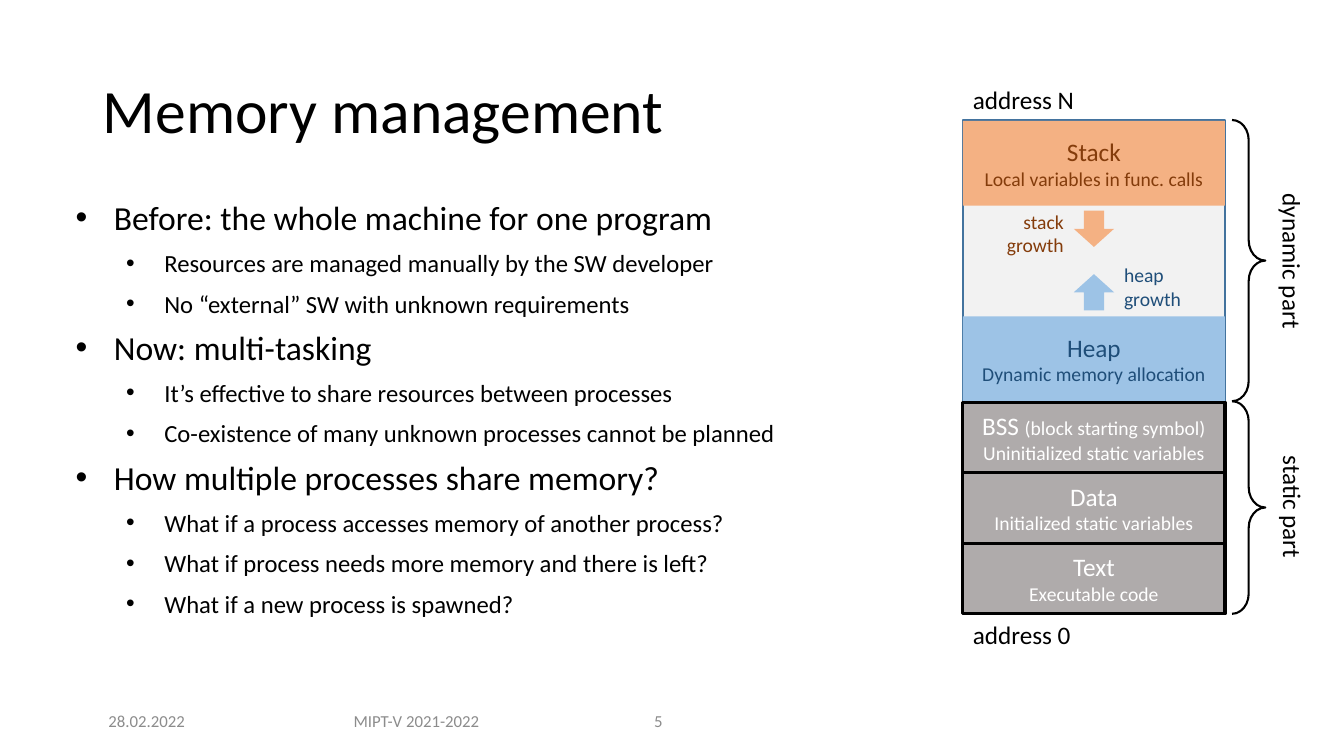
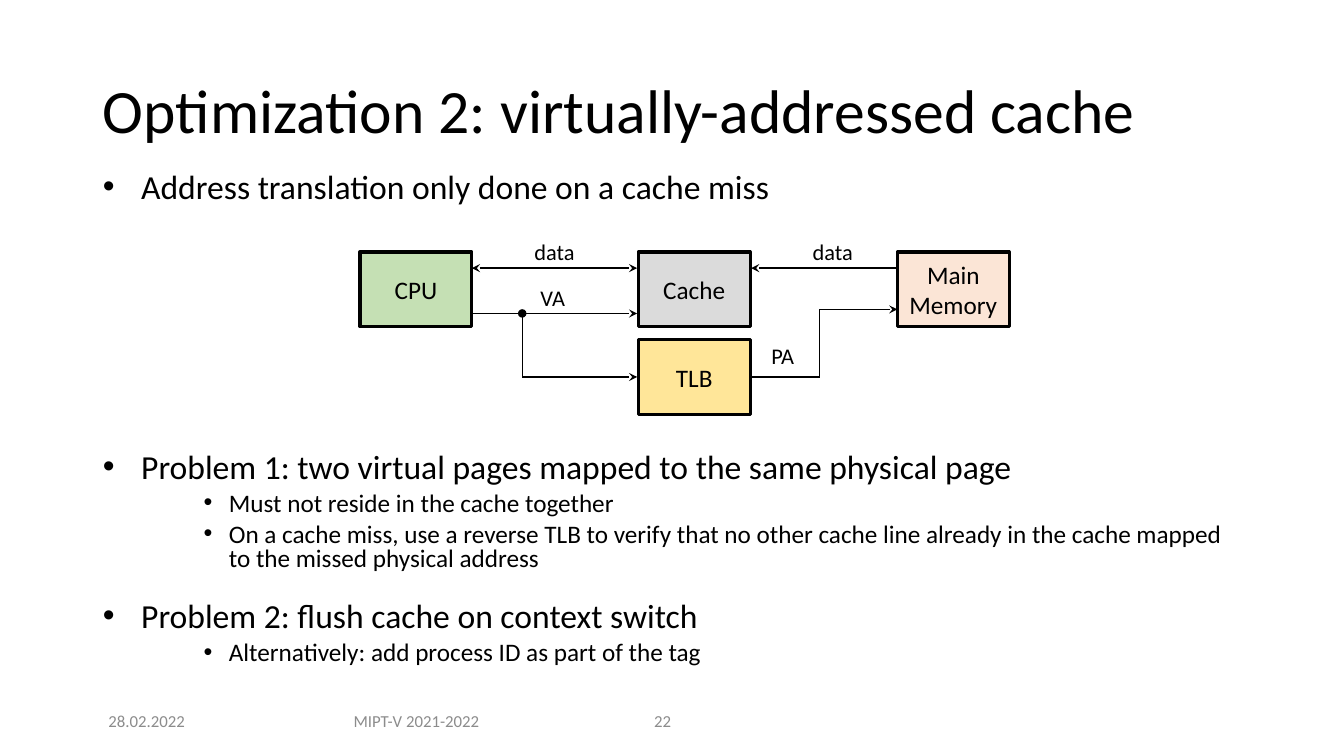
from lxml.etree import SubElement
from pptx import Presentation
from pptx.dml.color import RGBColor
from pptx.enum.shapes import MSO_CONNECTOR, MSO_SHAPE
from pptx.enum.text import MSO_ANCHOR, MSO_AUTO_SIZE, PP_ALIGN
from pptx.oxml.ns import qn
from pptx.util import Inches, Pt

FONT = "Calibri"
COLORS = {
    "black": "000000", "white": "FFFFFF", "footer": "8C8C8C",
    "free": "F2F2F2", "frame": "43739E", "static": "AFABAB",
    "stack": "F4B183", "stack_text": "843C0B",
    "heap": "9DC3E6", "heap_text": "1F4E79",
    "cpu": "C5E0B4", "cache": "DBDBDB", "tlb": "FFE699", "memory": "FBE5D6",
}
LEFT, CENTER, RIGHT = PP_ALIGN.LEFT, PP_ALIGN.CENTER, PP_ALIGN.RIGHT

FOOTERS = [(0.92, 1.07, CENTER), (3.34, 1.58, CENTER), (6.39, 0.79, LEFT)]
DATE, COURSE = "28.02.2022", "MIPT-V 2021-2022"

MANAGEMENT_STYLES = {
    0: dict(size=24, margin=0.38, hanging=0.38, before=12),
    1: dict(size=17.6, margin=0.88, hanging=0.38, before=12),
}
MANAGEMENT = [
    (0, "Before: the whole machine for one program"),
    (1, "Resources are managed manually by the SW developer"),
    (1, "No “external” SW with unknown requirements"),
    (0, "Now: multi-tasking"),
    (1, "It’s effective to share resources between processes"),
    (1, "Co-existence of many unknown processes cannot be planned"),
    (0, "How multiple processes share memory?"),
    (1, "What if a process accesses memory of another process?"),
    (1, "What if process needs more memory and there is left?"),
    (1, "What if a new process is spawned?"),
]

CACHE_STYLES = {
    0: dict(size=24, margin=0.38, hanging=0.38, before=10),
    2: dict(size=18, margin=1.25, hanging=0.25, before=5),
}
DIAGRAM_GAP = 177
CACHE_POINTS = [
    (0, "Address translation only done on a cache miss"),
    (0, "Problem 1: two virtual pages mapped to the same physical page", DIAGRAM_GAP),
    (2, "Must not reside in the cache together"),
    (2, "On a cache miss, use a reverse TLB to verify that no other cache line "
        "already in the cache mapped to the missed physical address"),
    (0, "Problem 2: flush cache on context switch", 22),
    (2, "Alternatively: add process ID as part of the tag"),
]

MEMORY_LEFT, MEMORY_WIDTH = 9.55, 2.6
DYNAMIC_HEIGHT, STATIC_TOP, STATIC_HEIGHT = 0.84, 3.99, 0.7
DYNAMIC_PARTS = [
    ("stack", 1.2, [("Stack", 18), ("Local variables in func. calls", 14)]),
    ("heap", 3.14, [("Heap", 18), ("Dynamic memory allocation", 14)]),
]
STATIC_PARTS = [
    [("BSS ", 18, "(block starting symbol)", 14), ("Uninitialized static variables", 14)],
    [("Data", 18), ("Initialized static variables", 14)],
    [("Text", 18), ("Executable code", 14)],
]
GROWTH_ARROWS = [
    (MSO_SHAPE.DOWN_ARROW, 2.09, "stack"),
    (MSO_SHAPE.UP_ARROW, 2.72, "heap"),
]
GROWTH_LABELS = [
    ("stack growth", 9.55, 2.03, "stack_text", RIGHT),
    ("heap growth", 11.05, 2.56, "heap_text", LEFT),
]
ADDRESSES = [("address N", 0.79), ("address 0", 6.09)]
BRACES = [
    ("dynamic part", 1.19, 2.79, (12.01, 2.39, 1.62, 0.4)),
    ("static part", 3.98, 2.11, (12.14, 4.83, 1.37, 0.4)),
]

UNIT_WIDTH, UNIT_HEIGHT = 1.11, 0.74
UNITS = [
    ("cpu", 3.57, 2.5, ["CPU"]),
    ("cache", 6.33, 2.5, ["Cache"]),
    ("tlb", 6.33, 3.37, ["TLB"]),
    ("memory", 8.9, 2.5, ["Main", "Memory"]),
]
DATA_Y, VIRTUAL_Y, PHYSICAL_Y, TLB_Y = 2.66, 3.11, 3.07, 3.74
BRANCH_X, BEND_X = 5.18, 8.13
WIRES = [
    ((4.68, DATA_Y), (6.32, DATA_Y), ("headEnd", "tailEnd")),
    ((8.9, DATA_Y), (7.45, DATA_Y), ("tailEnd",)),
    ((4.68, VIRTUAL_Y), (6.32, VIRTUAL_Y), ("tailEnd",)),
    ((BRANCH_X, VIRTUAL_Y), (BRANCH_X, TLB_Y), ()),
    ((BRANCH_X, TLB_Y), (6.32, TLB_Y), ("tailEnd",)),
    ((7.45, TLB_Y), (BEND_X, TLB_Y), ()),
    ((BEND_X, TLB_Y), (BEND_X, PHYSICAL_Y), ()),
    ((BEND_X, PHYSICAL_Y), (8.9, PHYSICAL_Y), ("tailEnd",)),
]
WIRE_LABELS = [
    ("data", 5.23, 2.37, 0.54), ("data", 7.99, 2.37, 0.54),
    ("VA", 5.29, 2.83, 0.39), ("PA", 7.58, 3.41, 0.37),
]


def color(name):
    return RGBColor.from_string(COLORS[name])


def style(paragraph, size, color_name="black"):
    paragraph.font.name = FONT
    paragraph.font.size = Pt(size)
    paragraph.font.color.rgb = color(color_name)


def write(frame, lines, color_name="black", align=CENTER):
    for index, (text, size, *extra) in enumerate(lines):
        paragraph = frame.add_paragraph() if index else frame.paragraphs[0]
        paragraph.alignment = align
        paragraph.add_run().text = text
        style(paragraph, size, color_name)
        if extra:
            run = paragraph.add_run()
            run.text, run.font.size = extra[0], Pt(extra[1])


def place(shape, left, top, width, height):
    shape.left, shape.top = Inches(left), Inches(top)
    shape.width, shape.height = Inches(width), Inches(height)


def add_text(slide, box, lines, color_name="black", align=LEFT):
    shape = slide.shapes.add_textbox(*map(Inches, box))
    shape.text_frame.word_wrap = True
    write(shape.text_frame, lines, color_name, align)
    return shape


def add_shape(slide, kind, box, fill=None, line=None, weight=1):
    shape = slide.shapes.add_shape(kind, *map(Inches, box))
    shape.shadow.inherit = False
    if fill:
        shape.fill.solid()
        shape.fill.fore_color.rgb = color(fill)
    else:
        shape.fill.background()
    if line:
        shape.line.color.rgb = color(line)
        shape.line.width = Pt(weight)
    else:
        shape.line.fill.background()
    return shape


def add_wire(slide, start, end, arrowheads):
    wire = slide.shapes.add_connector(
        MSO_CONNECTOR.STRAIGHT, *map(Inches, start + end))
    wire.line.color.rgb = color("black")
    wire.line.width = Pt(1)
    for tag in arrowheads:
        SubElement(wire.line._get_or_add_ln(), qn(f"a:{tag}"), type="stealth")
    SubElement(wire._element.spPr, qn("a:effectLst"))


def fill_body(body, points, styles):
    frame = body.text_frame
    frame.auto_size = MSO_AUTO_SIZE.NONE
    for index, (level, text, *gap) in enumerate(points):
        paragraph = frame.add_paragraph() if index else frame.paragraphs[0]
        look = styles[level]
        paragraph.text = text
        paragraph.level = level
        properties = paragraph._p.get_or_add_pPr()
        properties.set("marL", str(Inches(look["margin"])))
        properties.set("indent", str(-Inches(look["hanging"])))
        SubElement(properties, qn("a:buChar"), char="•")
        paragraph.line_spacing = 0.8
        before = gap[0] if gap else look["before"]
        paragraph.space_before = Pt(before if index else 0)
        style(paragraph, look["size"])


def add_slide(presentation, title, number, body_box, points, styles):
    slide = presentation.slides.add_slide(presentation.slide_layouts[1])
    heading, body = slide.placeholders
    place(heading, 0.92, 0.4, 11.5, 1.45)
    heading.text_frame.auto_size = MSO_AUTO_SIZE.NONE
    heading.text_frame.vertical_anchor = MSO_ANCHOR.MIDDLE
    write(heading.text_frame, [(title, 44)], align=LEFT)
    heading.text_frame.paragraphs[0].line_spacing = 0.9
    place(body, *body_box)
    fill_body(body, points, styles)
    for text, (left, width, align) in zip((DATE, COURSE, number), FOOTERS):
        footer = add_text(slide, (left, 6.95, width, 0.4), [(text, 12)], "footer", align)
        footer.text_frame.vertical_anchor = MSO_ANCHOR.MIDDLE
        footer.text_frame.word_wrap = False
    return slide


def draw_memory_map(slide):
    add_shape(slide, MSO_SHAPE.RECTANGLE, (MEMORY_LEFT, 1.19, MEMORY_WIDTH, 4.89),
              "free", "frame")
    for name, top, lines in DYNAMIC_PARTS:
        part = add_shape(slide, MSO_SHAPE.RECTANGLE,
                         (MEMORY_LEFT, top, MEMORY_WIDTH, DYNAMIC_HEIGHT), name)
        write(part.text_frame, lines, f"{name}_text")
    for index, lines in enumerate(STATIC_PARTS):
        top = STATIC_TOP + index * STATIC_HEIGHT
        part = add_shape(slide, MSO_SHAPE.RECTANGLE,
                         (MEMORY_LEFT, top, MEMORY_WIDTH, STATIC_HEIGHT),
                         "static", "black", 2.25)
        write(part.text_frame, lines, "white")
    for kind, top, fill in GROWTH_ARROWS:
        add_shape(slide, kind, (10.65, top, 0.4, 0.36), fill)
    for text, left, top, color_name, align in GROWTH_LABELS:
        add_text(slide, (left, top, 1.1, 0.57), [(text, 14)], color_name, align)
    for text, top in ADDRESSES:
        add_text(slide, (MEMORY_LEFT, top, 1.48, 0.4), [(text, 18)])
    for text, top, height, label_box in BRACES:
        brace = add_shape(slide, MSO_SHAPE.RIGHT_BRACE, (12.22, top, 0.33, height),
                          line="black", weight=1.5)
        brace.adjustments[0] = 0.61
        label = add_text(slide, label_box, [(text, 18)], align=CENTER)
        label.rotation = 90


def draw_cache_diagram(slide):
    for fill, left, top, names in UNITS:
        unit = add_shape(slide, MSO_SHAPE.RECTANGLE,
                         (left, top, UNIT_WIDTH, UNIT_HEIGHT), fill, "black", 2.25)
        unit.text_frame.word_wrap = False
        write(unit.text_frame, [(name, 18) for name in names])
    for start, end, arrowheads in WIRES:
        add_wire(slide, start, end, arrowheads)
    dot = 0.07
    add_shape(slide, MSO_SHAPE.OVAL,
              (BRANCH_X - dot / 2, VIRTUAL_Y - dot / 2, dot, dot), "black", "black")
    for text, left, top, width in WIRE_LABELS:
        frame = add_text(slide, (left, top, width, 0.28), [(text, 16)]).text_frame
        frame.word_wrap = False
        frame.margin_left = frame.margin_right = Inches(0.07)
        frame.margin_top = frame.margin_bottom = Inches(0.03)
        frame.paragraphs[0].line_spacing = 0.85


def main():
    presentation = Presentation()
    presentation.slide_width, presentation.slide_height = Inches(13.33), Inches(7.5)
    draw_memory_map(add_slide(
        presentation, "Memory management", "5",
        (0.65, 1.98, 8.5, 4.52), MANAGEMENT, MANAGEMENT_STYLES))
    draw_cache_diagram(add_slide(
        presentation, "Optimization 2: virtually-addressed cache", "22",
        (0.92, 1.67, 11.5, 5.31), CACHE_POINTS, CACHE_STYLES))
    presentation.save("out.pptx")


if __name__ == "__main__":
    main()
